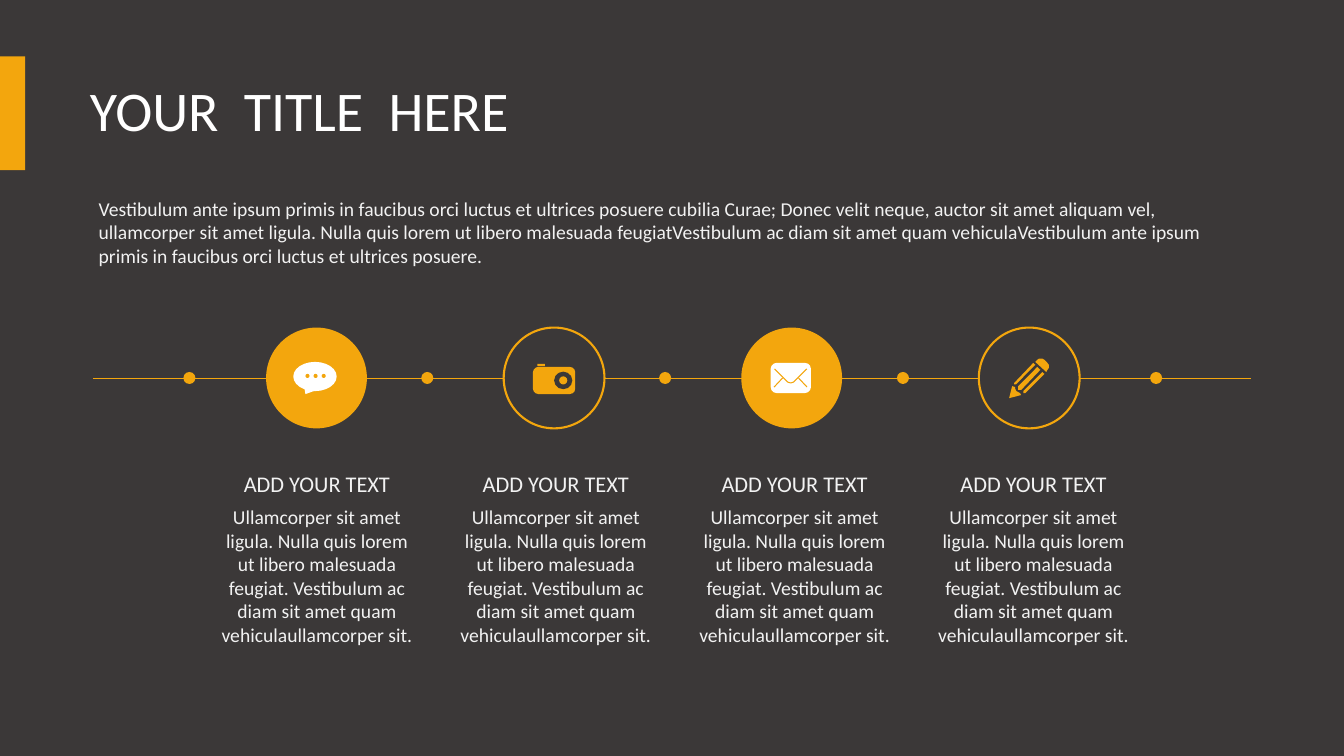
from lxml import etree
from pptx import Presentation
from pptx.dml.color import RGBColor
from pptx.enum import shapes, text
from pptx.util import Pt

DARK, ORANGE, WHITE, PALE = "3B3838", "F3A60D", "FFFFFF", "F2F2F2"
FONT = "Calibri"
TITLE = "YOUR  TITLE  HERE"
INTRO = (
    "Vestibulum ante ipsum primis in faucibus orci luctus et ultrices posuere cubilia Curae; "
    "Donec velit neque, auctor sit amet aliquam vel, ullamcorper sit amet ligula. Nulla quis "
    "lorem ut libero malesuada feugiatVestibulum ac diam sit amet quam vehiculaVestibulum ante "
    "ipsum primis in faucibus orci luctus et ultrices posuere."
)
HEADING = "ADD YOUR TEXT"
BODY = (
    "Ullamcorper sit amet ligula. Nulla quis lorem ut libero malesuada feugiat. "
    "Vestibulum ac diam sit amet quam vehiculaullamcorper sit."
)

OVAL = shapes.MSO_SHAPE.OVAL
ROUNDED = shapes.MSO_SHAPE.ROUNDED_RECTANGLE
RECTANGLE = shapes.MSO_SHAPE.RECTANGLE

SPEECH = [
    ("preset", OVAL, (-16.6, -11.5, 31, 20.9), WHITE),
    ("polygon", [(-8.6, 7.5), (-7.9, 11.5), (-1, 9)], WHITE),
] + [("preset", OVAL, (-7.9 + 5.8 * i, -2.9, 2.9, 2.9), ORANGE) for i in range(3)]
CAMERA = [
    ("preset", ROUNDED, (-15.1, -7.9, 30.2, 19.4), ORANGE),
    ("preset", RECTANGLE, (-11.9, -10.1, 5.4, 1.6), ORANGE),
    ("preset", OVAL, (0, -4.5, 13, 12.5), DARK),
    ("preset", OVAL, (3.6, -1.2, 5.8, 5.8), ORANGE),
]
ENVELOPE = [
    ("preset", ROUNDED, (-15, -10.8, 28.8, 21.6), WHITE),
    ("stroke", [(-12.2, -6.5), (-2.9, 2.9), (-0.7, 3.6), (1.4, 2.9), (10.8, -6.5)], ORANGE),
    ("stroke", [(-6.5, 0), (-12.6, 6.5)], ORANGE),
    ("stroke", [(4.9, 0), (11, 6.5)], ORANGE),
]
PENCIL = [
    ("polygon", points, ORANGE)
    for points in (
        [(13, -5.8), (12.2, -4.3), (4.3, -11.5), (5.8, -13), (7, -13.9),
         (9.4, -13.9), (10.8, -13), (13, -10.8), (14, -9.4), (14, -7.2)],
        [(-4.3, 9.4), (-4.3, 10.8), (-2.9, 10.8), (10.8, -2.9), (9.4, -4.3)],
        [(-10.8, 3.6), (-10.8, 4.5), (-9.4, 4.5), (4.3, -9.4), (2.9, -10.8)],
        [(5.8, -7.9), (-7.9, 5.8), (-7.9, 8.6), (-5.8, 8.6), (7.9, -5.8)],
        [(-14.4, 14.4), (-12.2, 5.8), (-10.1, 6.5), (-10.1, 7.5),
         (-9.2, 9.4), (-6.5, 10.8), (-5.8, 12.2)],
    )
]
STEPS = [(SPEECH, ORANGE), (CAMERA, DARK), (ENVELOPE, ORANGE), (PENCIL, DARK)]

AXIS_Y = 270
CIRCLE, DOT = 72, 8.6
FIRST_CENTER, PITCH = 226.1, 169.7
DOT_CENTERS = [135.3 + 169.9 * i for i in range(4)] + [825.8]
TEXT_CENTER, TEXT_PITCH = 226.4, 170.6


def color(value):
    return RGBColor.from_string(value)


def paint(shape, fill=None, line=None, width=0.75):
    shape.shadow.inherit = False
    if fill:
        shape.fill.solid()
        shape.fill.fore_color.rgb = color(fill)
    else:
        shape.fill.background()
    if line:
        shape.line.color.rgb = color(line)
        shape.line.width = Pt(width)
    else:
        shape.line.fill.background()


def add_preset(page, kind, left, top, width, height, fill, line=None, weight=0.75):
    shape = page.shapes.add_shape(kind, Pt(left), Pt(top), Pt(width), Pt(height))
    paint(shape, fill, line, weight)
    return shape


def add_disc(page, x, size, fill, line=None):
    add_preset(page, OVAL, x - size / 2, AXIS_Y - size / 2, size, size, fill, line, 1.5)


def add_outline(page, points, closed, hue):
    start, *others = [(Pt(x), Pt(y)) for x, y in points]
    builder = page.shapes.build_freeform(*start)
    builder.add_line_segments(others, close=closed)
    shape = builder.convert_to_shape()
    if closed:
        paint(shape, fill=hue)
    else:
        paint(shape, line=hue)


def add_icon(page, parts, x):
    for kind, *details, hue in parts:
        if kind == "preset":
            preset, (left, top, width, height) = details
            shape = add_preset(page, preset, x + left, AXIS_Y + top, width, height, hue)
            if preset == ROUNDED:
                shape.adjustments[0] = 0.2
        else:
            points = [(x + dx, AXIS_Y + dy) for dx, dy in details[0]]
            add_outline(page, points, kind == "polygon", hue)


def style(para, size, hue, align):
    para.font.name = FONT
    para.font.size = Pt(size)
    para.font.color.rgb = color(hue)
    para.alignment = align


def add_text(page, words, left, top, width, height, size, align, wrap=True):
    box = page.shapes.add_textbox(Pt(left), Pt(top), Pt(width), Pt(height))
    frame = box.text_frame
    frame.word_wrap = wrap
    frame.auto_size = text.MSO_AUTO_SIZE.SHAPE_TO_FIT_TEXT
    frame.text = words
    style(frame.paragraphs[0], size, PALE, align)


def add_title(page):
    title = page.shapes.title
    title.left, title.top, title.width, title.height = Pt(57), Pt(29), Pt(837), Pt(104)
    title.text_frame.text = TITLE
    title.text_frame.vertical_anchor = text.MSO_ANCHOR.MIDDLE
    para = title.text_frame.paragraphs[0]
    para.line_spacing = 0.9
    style(para, 40, WHITE, text.PP_ALIGN.LEFT)


def add_axis(page):
    axis = page.shapes.add_connector(
        shapes.MSO_CONNECTOR.STRAIGHT, Pt(66.4), Pt(AXIS_Y), Pt(893.6), Pt(AXIS_Y)
    )
    axis.line.color.rgb = color(ORANGE)
    axis.line.width = Pt(0.5)
    properties = axis.line._get_or_add_ln().getparent()
    namespace = "http://schemas.openxmlformats.org/drawingml/2006/main"
    etree.SubElement(properties, f"{{{namespace}}}effectLst")
    for x in DOT_CENTERS:
        add_disc(page, x, DOT, ORANGE)


def main():
    deck = Presentation()
    deck.slide_width, deck.slide_height = Pt(960), Pt(540)
    page = deck.slides.add_slide(deck.slide_layouts[5])
    page.background.fill.solid()
    page.background.fill.fore_color.rgb = color(DARK)

    add_preset(page, RECTANGLE, 0, 40.3, 18, 81.2, ORANGE)
    add_title(page)
    add_axis(page)
    add_text(page, INTRO, 63.4, 136.8, 830, 58.3, 14, text.PP_ALIGN.LEFT)

    for i, (icon, fill) in enumerate(STEPS):
        x = FIRST_CENTER + i * PITCH
        add_disc(page, x, CIRCLE, fill, ORANGE if fill == DARK else None)
        add_icon(page, icon, x)
        middle = TEXT_CENTER + i * TEXT_PITCH
        add_text(page, BODY, middle - 78.8, 357.1, 157.7, 108.7, 14, text.PP_ALIGN.CENTER)
        add_text(page, HEADING, middle - 59.4, 332.6, 118.8, 26.6, 16,
                 text.PP_ALIGN.CENTER, wrap=False)

    deck.save("out.pptx")


if __name__ == "__main__":
    main()
